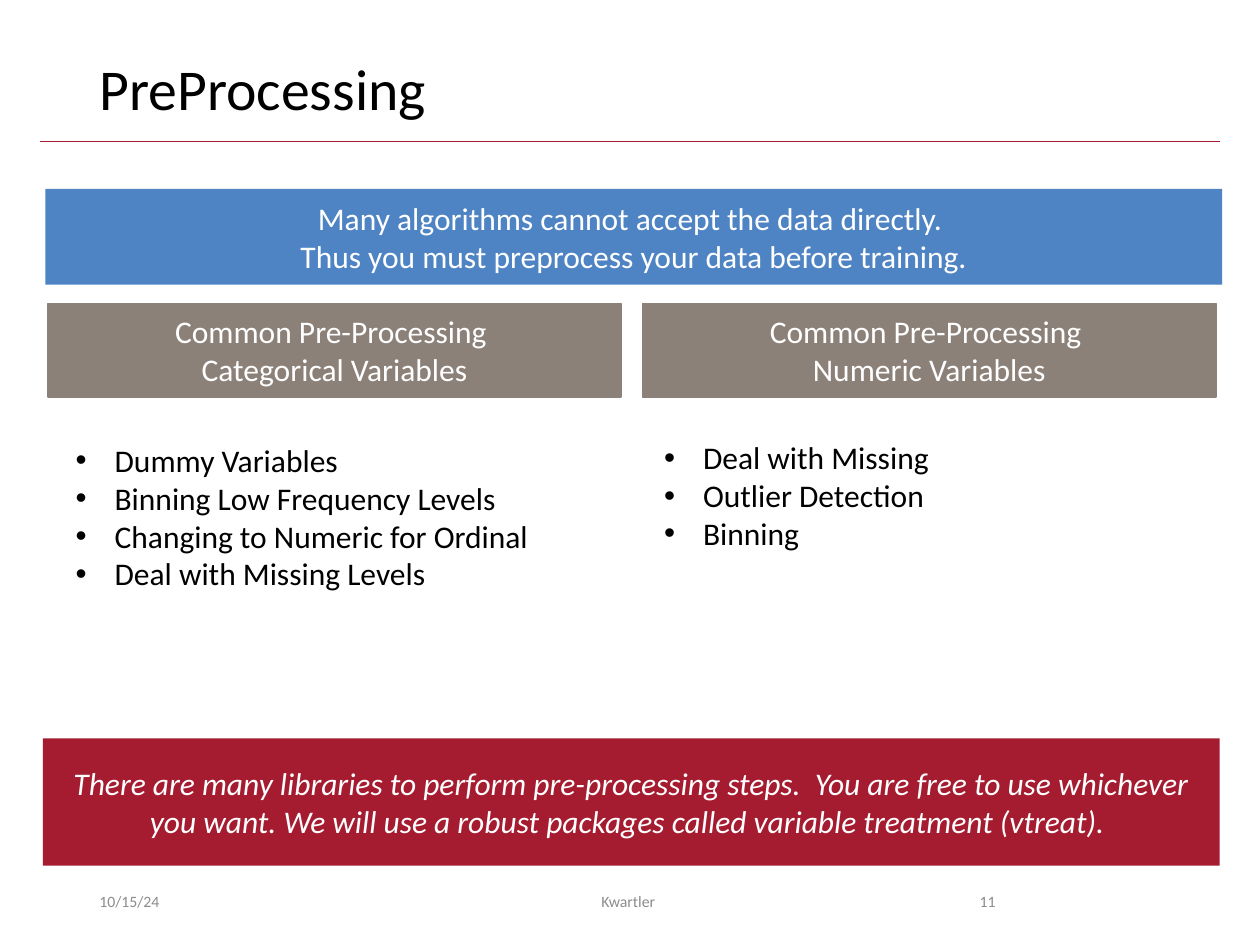
from dataclasses import dataclass

from lxml import etree
from pptx import Presentation
from pptx.dml.color import RGBColor
from pptx.enum.shapes import MSO_CONNECTOR, MSO_SHAPE
from pptx.enum.text import MSO_ANCHOR, MSO_AUTO_SIZE, PP_ALIGN
from pptx.oxml.ns import qn
from pptx.util import Inches, Pt

LEFT, CENTER, RIGHT = PP_ALIGN.LEFT, PP_ALIGN.CENTER, PP_ALIGN.RIGHT
TOP, MIDDLE = MSO_ANCHOR.TOP, MSO_ANCHOR.MIDDLE
NO_AUTO_SIZE = MSO_AUTO_SIZE.NONE
RECTANGLE, STRAIGHT = MSO_SHAPE.RECTANGLE, MSO_CONNECTOR.STRAIGHT

COLORS = {
    "black": "000000",
    "white": "FFFFFF",
    "blue": "4E84C4",
    "taupe": "8C8179",
    "crimson": "A51C30",
    "footer": "8C8C8C",
}
FONT_NAME = "Calibri"
BULLET_INDENT = Inches(0.31)


@dataclass
class Box:
    left: float
    top: float
    width: float
    height: float


@dataclass
class Style:
    size: float
    color: str
    alignment: PP_ALIGN = LEFT
    anchor: MSO_ANCHOR = MIDDLE
    italic: bool = False
    line_spacing: float = 1.0
    bullet: bool = False


@dataclass
class Panel:
    box: Box
    fill: str
    lines: list[str]
    outlined: bool = False
    italic: bool = False


@dataclass
class FooterItem:
    box: Box
    text: str
    alignment: PP_ALIGN


TITLE_STYLE = Style(33, "black", line_spacing=0.9)
LIST_STYLE = Style(18, "black", anchor=TOP, bullet=True)

PANELS = [
    Panel(Box(0.36, 1.5, 9.34, 0.76), "blue",
          ["Many algorithms cannot accept the data directly. ",
           "Thus you must preprocess your data before training."]),
    *[Panel(Box(left, 2.41, 4.55, 0.74), "taupe",
            ["Common Pre-Processing ", f"{kind} Variables"], outlined=True)
      for left, kind in ((0.38, "Categorical"), (5.1, "Numeric"))],
    Panel(Box(0.34, 5.86, 9.34, 1.01), "crimson",
          ["There are many libraries to perform pre-processing steps.  "
           "You are free to use whichever you want. We will use a robust "
           "packages called variable treatment (vtreat). "], italic=True),
]

LISTS = [
    (Box(0.5, 3.45, 3.84, 1.31),
     ["Dummy Variables", "Binning Low Frequency Levels",
      "Changing to Numeric for Ordinal", "Deal with Missing Levels"]),
    (Box(5.17, 3.43, 2.35, 1.01),
     ["Deal with Missing", "Outlier Detection", "Binning"]),
]

FOOTER = [
    FooterItem(Box(0.69, 6.95, 2.25, 0.4), "10/15/24", LEFT),
    FooterItem(Box(3.31, 6.95, 3.38, 0.4), "Kwartler ", CENTER),
    FooterItem(Box(7.06, 6.95, 0.94, 0.4), "11", RIGHT),
]


def apply_format(target, values: dict) -> None:
    for name, value in values.items():
        setattr(target, name, value)


def color(name: str) -> RGBColor:
    return RGBColor.from_string(COLORS[name])


def lengths(box: Box) -> tuple:
    return tuple(Inches(value)
                 for value in (box.left, box.top, box.width, box.height))


def add_bullet(paragraph) -> None:
    properties = paragraph._p.get_or_add_pPr()
    properties.set("marL", str(BULLET_INDENT))
    properties.set("indent", str(-BULLET_INDENT))
    etree.SubElement(properties, qn("a:buFont")).set("typeface", "Arial")
    etree.SubElement(properties, qn("a:buChar")).set("char", "•")


def write_text(shape, lines: list[str], style: Style) -> None:
    frame = shape.text_frame
    apply_format(frame, {"word_wrap": True, "auto_size": NO_AUTO_SIZE,
                         "vertical_anchor": style.anchor})
    frame.text = "\n".join(lines)
    for paragraph in frame.paragraphs:
        apply_format(paragraph, {"alignment": style.alignment,
                                 "line_spacing": style.line_spacing,
                                 "space_before": Pt(0)})
        if style.bullet:
            add_bullet(paragraph)
        apply_format(paragraph.font, {"name": FONT_NAME, "size": Pt(style.size),
                                      "italic": style.italic})
        paragraph.font.color.rgb = color(style.color)


def fill_placeholder(shape, box: Box, lines: list[str], style: Style) -> None:
    apply_format(shape, dict(zip(("left", "top", "width", "height"), lengths(box))))
    write_text(shape, lines, style)


def draw_rule(slide) -> None:
    rule = slide.shapes.add_connector(
        STRAIGHT, Inches(0.32), Inches(1.12), Inches(9.68), Inches(1.12))
    rule.line.color.rgb = color("crimson")
    rule.line.width = Pt(0.5)
    etree.SubElement(rule._element.spPr, qn("a:effectLst"))


def draw_panel(slide, panel: Panel) -> None:
    shape = slide.shapes.add_shape(RECTANGLE, *lengths(panel.box))
    shape.shadow.inherit = False
    shape.fill.solid()
    shape.fill.fore_color.rgb = color(panel.fill)
    if panel.outlined:
        shape.line.color.rgb = color(panel.fill)
        shape.line.width = Pt(1)
    else:
        shape.line.fill.background()
    write_text(shape, panel.lines, Style(18, "white", CENTER, italic=panel.italic))


def draw_footer_item(slide, item: FooterItem) -> None:
    shape = slide.shapes.add_textbox(*lengths(item.box))
    write_text(shape, [item.text], Style(9, "footer", item.alignment))


def main() -> None:
    presentation = Presentation()
    apply_format(presentation, {"slide_width": Inches(10),
                                "slide_height": Inches(7.5)})
    slide = presentation.slides.add_slide(
        presentation.slide_layouts.get_by_name("Two Content"))
    title, *bodies = slide.placeholders
    draw_rule(slide)
    fill_placeholder(title, Box(0.69, 0.4, 8.62, 0.65), ["PreProcessing"], TITLE_STYLE)
    for panel in PANELS:
        draw_panel(slide, panel)
    for body, (box, items) in zip(bodies, LISTS):
        fill_placeholder(body, box, items, LIST_STYLE)
    for item in FOOTER:
        draw_footer_item(slide, item)
    presentation.save("out.pptx")


if __name__ == "__main__":
    main()
